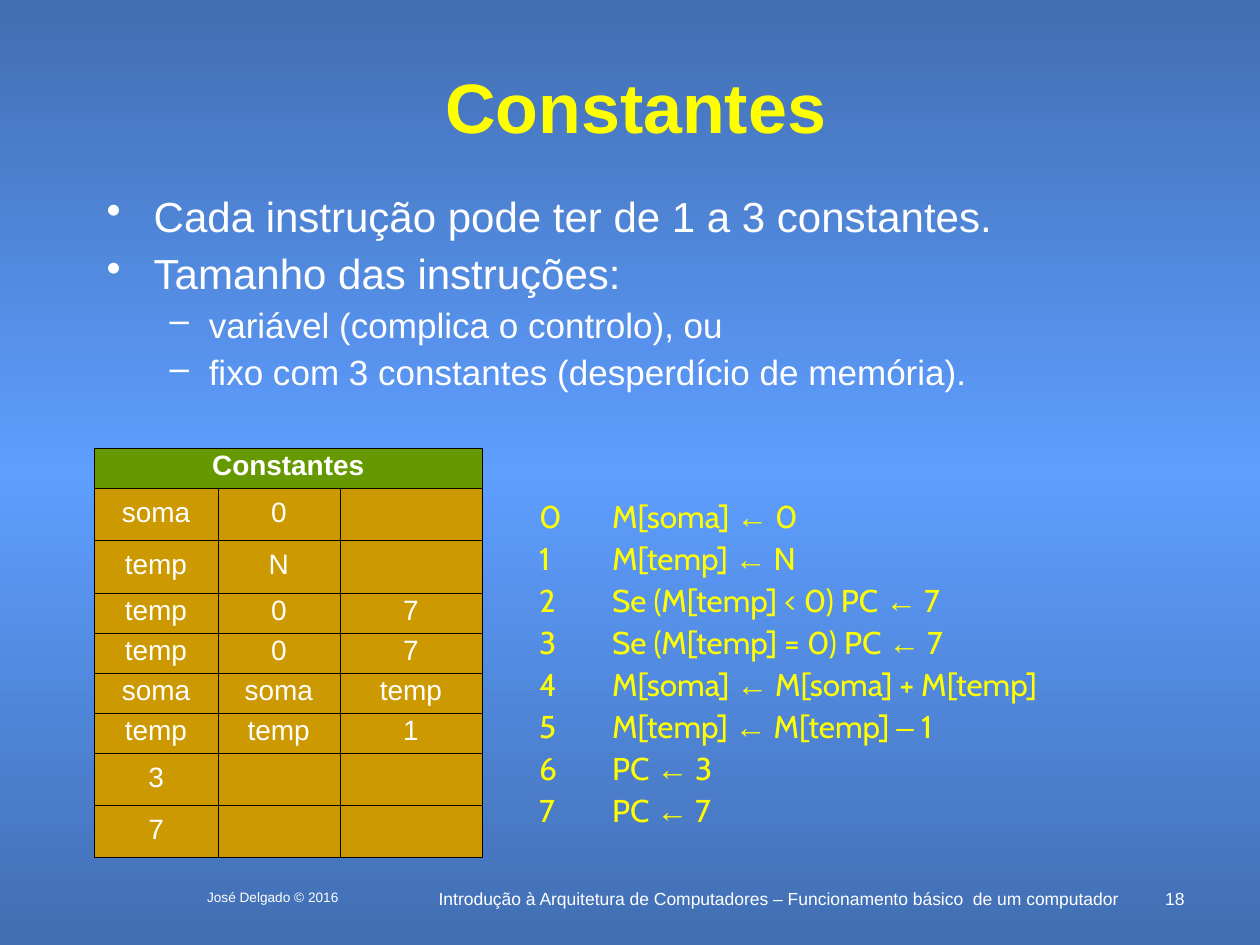
"""Build the slide about the constants used by each instruction."""
from copy import deepcopy
from dataclasses import dataclass
from itertools import groupby
from typing import Optional

from lxml.etree import SubElement
from pptx import Presentation
from pptx.dml.color import RGBColor
from pptx.enum.text import MSO_ANCHOR, PP_ALIGN
from pptx.oxml.ns import qn
from pptx.slide import Slide
from pptx.table import _Cell
from pptx.text.text import TextFrame, _Paragraph
from pptx.util import Cm, Pt


@dataclass(frozen=True)
class Theme:
    edge: str = "426EB2"
    middle: str = "5E9EFF"
    white: str = "FFFFFF"
    yellow: str = "FFFF00"
    header: str = "669900"
    body: str = "CC9900"
    border: str = "000000"
    font: str = "Arial"
    code_font: str = "Cabin"
    symbols: str = "←–"
    title_size: float = 40
    bullet_size: float = 24
    dash_size: float = 20
    code_size: float = 18
    table_size: float = 16
    footer_size: float = 10
    author_size: float = 7.8


@dataclass(frozen=True)
class Box:
    left: float
    top: float
    width: float
    height: float


@dataclass(frozen=True)
class Bullet:
    text: str
    level: int = 0


@dataclass(frozen=True)
class Footer:
    text: str
    box: Box
    size: float
    align: PP_ALIGN = PP_ALIGN.CENTER


THEME = Theme()
BULLETS = (
    Bullet("Cada instrução pode ter de 1 a 3 constantes."),
    Bullet("Tamanho das instruções:"),
    Bullet("variável (complica o controlo), ou", 1),
    Bullet("fixo com 3 constantes (desperdício de memória).", 1),
)
CONSTANTS = (
    ("soma", "0", ""),
    ("temp", "N", ""),
    ("temp", "0", "7"),
    ("temp", "0", "7"),
    ("soma", "soma", "temp"),
    ("temp", "temp", "1"),
    ("3", "", ""),
    ("7", "", ""),
)
INSTRUCTIONS = (
    "M[soma] ← 0",
    "M[temp] ← N",
    "Se (M[temp] < 0) PC ← 7",
    "Se (M[temp] = 0) PC ← 7",
    "M[soma] ← M[soma] + M[temp]",
    "M[temp] ← M[temp] – 1",
    "PC ← 3",
    "PC ← 7",
)
FOOTERS = (
    Footer("Introdução à Arquitetura de Computadores – Funcionamento básico  de um computador",
           Box(8.59, 17.78, 14.2, 0.64), THEME.footer_size),
    Footer("18", Box(23.06, 17.78, 1.07, 0.43), THEME.footer_size, PP_ALIGN.RIGHT),
    Footer("José Delgado © 2016", Box(3.38, 17.78, 4.24, 0.64), THEME.author_size),
)


def write_text(paragraph: _Paragraph, text: str, *, size: float, color: str = THEME.white,
               font: str = THEME.font, bold: bool = False, align: PP_ALIGN = PP_ALIGN.LEFT,
               before: float = 0, spacing: Optional[float] = None, margin: float = 0,
               hanging: float = 0, bullet: str = "") -> None:
    """Write text in a paragraph, setting its symbols in the main font."""
    properties = paragraph._p.get_or_add_pPr()
    if hanging:
        properties.set("marL", str(Cm(margin)))
        properties.set("indent", str(-Cm(hanging)))
    if bullet:
        SubElement(properties, qn("a:buChar")).set("char", bullet)
    paragraph.alignment = align
    paragraph.space_before = Pt(before)
    if spacing:
        paragraph.line_spacing = spacing
    for is_symbol, letters in groupby(text, lambda letter: letter in THEME.symbols):
        run = paragraph.add_run()
        run.text = "".join(letters)
        run.font.name = THEME.font if is_symbol else font
        run.font.size = Pt(size)
        run.font.bold = bold
        run.font.color.rgb = RGBColor.from_string(color)


def add_text_box(slide: Slide, box: Box, *, anchor: MSO_ANCHOR = MSO_ANCHOR.TOP,
                 wrap: bool = True, inset_top: float = 0.13) -> TextFrame:
    """Add an empty text box and return its frame."""
    shape = slide.shapes.add_textbox(Cm(box.left), Cm(box.top), Cm(box.width), Cm(box.height))
    frame = shape.text_frame
    frame.word_wrap = wrap
    frame.vertical_anchor = anchor
    frame.margin_top = Cm(inset_top)
    return frame


def next_paragraph(frame: TextFrame, index: int) -> _Paragraph:
    """Return the first paragraph for index zero, otherwise a new one."""
    return frame.add_paragraph() if index else frame.paragraphs[0]


def paint_background(slide: Slide) -> None:
    """Fill the background with a vertical gradient, lightest in the middle."""
    fill = slide.background.fill
    fill.gradient()
    fill.gradient_angle = 90
    stop_list = slide.element.find(".//" + qn("a:gsLst"))
    stop_list.insert(1, deepcopy(stop_list[0]))
    colors = (THEME.edge, THEME.middle, THEME.edge)
    for stop, position, color in zip(fill.gradient_stops, (0, 0.5, 1), colors):
        stop.position = position
        stop.color.rgb = RGBColor.from_string(color)


def style_cell(cell: _Cell, color: str) -> None:
    """Give a cell thin borders and a solid fill."""
    properties = cell._tc.get_or_add_tcPr()
    for side in ("a:lnL", "a:lnR", "a:lnT", "a:lnB"):
        line = SubElement(properties, qn(side), w=str(Pt(0.34)))
        fill = SubElement(line, qn("a:solidFill"))
        SubElement(fill, qn("a:srgbClr"), val=THEME.border)
    cell.fill.solid()
    cell.fill.fore_color.rgb = RGBColor.from_string(color)
    cell.vertical_anchor = MSO_ANCHOR.MIDDLE


def add_constants_table(slide: Slide) -> None:
    """Add the table of constants under a merged header."""
    widths = (2.49, 2.46, 2.87)
    rows = (("Constantes", "", ""), *CONSTANTS)
    heights = [1.05 if index and "" in row else 0.81 for index, row in enumerate(rows)]
    table = slide.shapes.add_table(len(rows), len(widths), Cm(1.9), Cm(9.04),
                                   Cm(sum(widths)), Cm(sum(heights))).table
    for column, width in zip(table.columns, widths):
        column.width = Cm(width)
    for row_index, (values, height) in enumerate(zip(rows, heights)):
        table.rows[row_index].height = Cm(height)
        is_header = row_index == 0
        for cell, value in zip(table.rows[row_index].cells, values):
            style_cell(cell, THEME.header if is_header else THEME.body)
            write_text(cell.text_frame.paragraphs[0], value, size=THEME.table_size,
                       bold=is_header, align=PP_ALIGN.CENTER, spacing=0.8)
    table.cell(0, 0).merge(table.cell(0, len(widths) - 1))


def main() -> None:
    """Build and save the presentation."""
    presentation = Presentation()
    presentation.slide_width, presentation.slide_height = Cm(25.4), Cm(19.05)
    slide = presentation.slides.add_slide(presentation.slide_layouts[6])
    paint_background(slide)

    title = add_text_box(slide, Box(1.32, 1.27, 22.99, 1.7), anchor=MSO_ANCHOR.MIDDLE)
    write_text(title.paragraphs[0], "Constantes", size=THEME.title_size, color=THEME.yellow,
               bold=True, align=PP_ALIGN.CENTER)

    body = add_text_box(slide, Box(1.9, 3.61, 20.98, 4.72), inset_top=0.23)
    for index, item in enumerate(BULLETS):
        paragraph = next_paragraph(body, index)
        paragraph.level = item.level
        size, before, margin, hanging, bullet = (
            (THEME.dash_size, 3, 2.06, 0.79, "–") if item.level
            else (THEME.bullet_size, 4 if index else 0, 0.95, 0.95, "•"))
        write_text(paragraph, item.text, size=size, before=before, margin=margin,
                   hanging=hanging, bullet=bullet)

    add_constants_table(slide)

    code = add_text_box(slide, Box(10.62, 9.91, 12.27, 6.88), inset_top=0.2)
    for index, instruction in enumerate(INSTRUCTIONS):
        write_text(next_paragraph(code, index), f"{index}\t{instruction}", size=THEME.code_size,
                   color=THEME.yellow, font=THEME.code_font, before=4.5 if index else 0,
                   spacing=0.9, margin=1.47, hanging=1.47)

    for footer in FOOTERS:
        frame = add_text_box(slide, footer.box, wrap=False)
        write_text(frame.paragraphs[0], footer.text, size=footer.size, align=footer.align)

    presentation.save("out.pptx")


if __name__ == "__main__":
    main()
